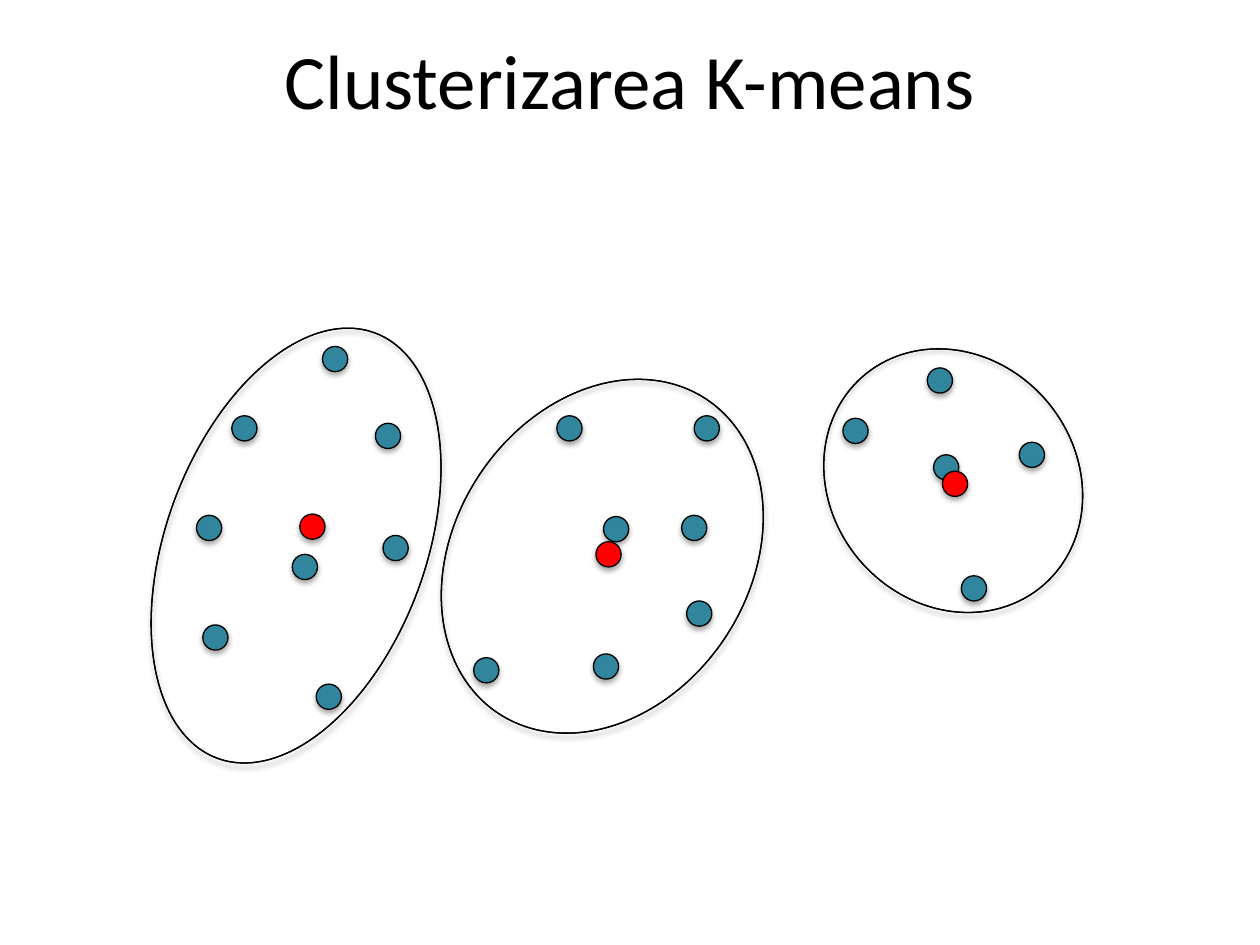
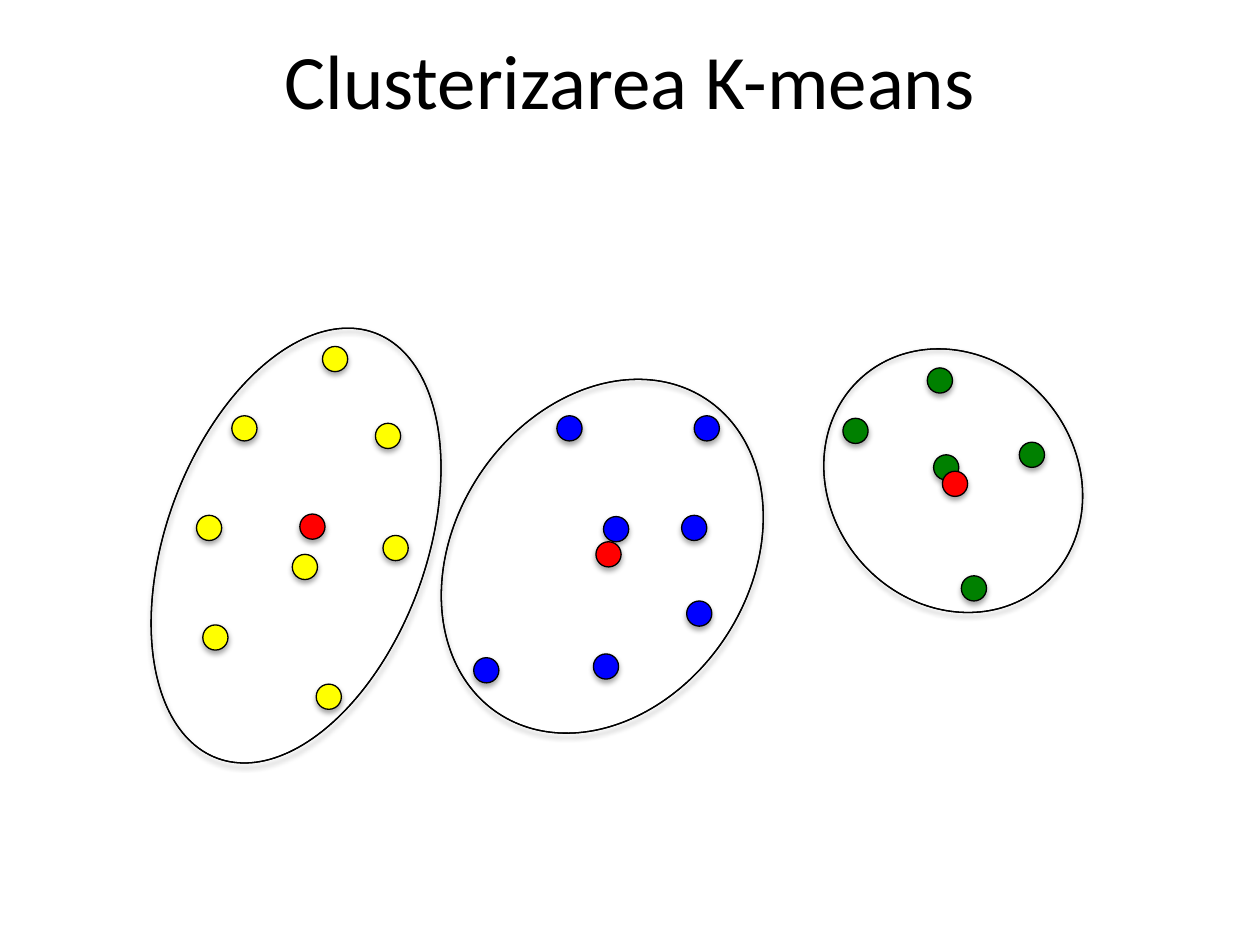
from dataclasses import dataclass

from lxml.etree import SubElement
from pptx import Presentation
from pptx.dml.color import RGBColor
from pptx.enum.shapes import MSO_SHAPE
from pptx.enum.text import MSO_ANCHOR, PP_ALIGN
from pptx.oxml.ns import qn
from pptx.util import Inches, Pt

BLACK = RGBColor(0x00, 0x00, 0x00)
TEAL = RGBColor(0x31, 0x85, 0x9C)
YELLOW = RGBColor(0xFF, 0xFF, 0x00)
BLUE = RGBColor(0x00, 0x00, 0xFF)
GREEN = RGBColor(0x00, 0x80, 0x00)
RED = RGBColor(0xFF, 0x00, 0x00)

COLUMNS, ROWS = 100, 75
DOT_SIZE = 2
TITLE = "Clusterizarea K-means"
TITLE_FONT = {"name": "Calibri", "size": Pt(44)}
TITLE_FRAME = {"vertical_anchor": MSO_ANCHOR.MIDDLE, "word_wrap": True}


@dataclass
class Cluster:
    ring: tuple
    angle: float
    centroid: tuple
    points: list


CLUSTERS = [
    Cluster((13.2, 25.3, 20.6, 36), 20.3, (23.8, 40.8),
            [(18.4, 33), (15.6, 40.9), (29.8, 33.6), (16.1, 49.6),
             (30.4, 42.5), (25.6, 27.5), (25.1, 54.3), (23.2, 44)]),
    Cluster((36.1, 29.2, 23.4, 29.9), 33.5, (47.3, 43),
            [(44.2, 33), (55.1, 33), (47.9, 41), (37.6, 52.2),
             (54.1, 40.9), (47.1, 51.9), (54.5, 47.7)]),
    Cluster((65.9, 27.2, 19.5, 21.9), 319.5, (74.8, 37.4),
            [(73.6, 29.2), (80.9, 35.1), (74.1, 36.1), (66.9, 33.2),
             (76.3, 45.7)]),
]


def apply_format(target, values):
    for name, value in values.items():
        setattr(target, name, value)


class ClusterDeck:
    def __init__(self):
        self.deck = Presentation()
        apply_format(self.deck, {"slide_width": Inches(10),
                                 "slide_height": Inches(7.5)})
        self.page = None

    def place(self, left, top, width, height):
        column = self.deck.slide_width / COLUMNS
        row = self.deck.slide_height / ROWS
        return (round(left * column), round(top * row),
                round(width * column), round(height * row))

    def add_page(self, title):
        self.page = self.deck.slides.add_slide(self.deck.slide_layouts[5])
        box = self.page.shapes.title
        area = self.place(5, 0, 90, 12.5)
        apply_format(box, dict(zip(("left", "top", "width", "height"), area)))
        box.text_frame.text = title
        apply_format(box.text_frame, TITLE_FRAME)
        para = box.text_frame.paragraphs[0]
        para.alignment = PP_ALIGN.CENTER
        apply_format(para.font, TITLE_FONT)
        para.font.color.rgb = BLACK

    def add_shadow(self, shape):
        shape.shadow.inherit = False
        effects = shape.element.spPr.find(qn("a:effectLst"))
        shadow = SubElement(effects, qn("a:outerShdw"), blurRad=str(Pt(3.1)),
                            dist=str(Pt(1.8)), dir="5400000", rotWithShape="0")
        color = SubElement(shadow, qn("a:srgbClr"), val=str(BLACK))
        SubElement(color, qn("a:alpha"), val="35000")

    def add_outlined(self, kind, area, color):
        shape = self.page.shapes.add_shape(kind, *self.place(*area))
        shape.fill.solid()
        shape.fill.fore_color.rgb = color
        shape.line.color.rgb = BLACK
        shape.line.width = Pt(0.75)
        self.add_shadow(shape)
        return shape

    def add_dot(self, position, color):
        self.add_outlined(MSO_SHAPE.OVAL, (*position, DOT_SIZE, DOT_SIZE), color)

    def add_ring(self, area, angle):
        ring = self.add_outlined(MSO_SHAPE.DONUT, area, BLACK)
        ring.adjustments[0] = 0
        ring.rotation = angle

    def add_cluster(self, cluster, color):
        for point in cluster.points:
            self.add_dot(point, color)
        self.add_ring(cluster.ring, cluster.angle)
        self.add_dot(cluster.centroid, RED)


def main():
    builder = ClusterDeck()
    for colors in [(TEAL, TEAL, TEAL), (YELLOW, BLUE, GREEN)]:
        builder.add_page(TITLE)
        for cluster, color in zip(CLUSTERS, colors):
            builder.add_cluster(cluster, color)
    builder.deck.save("out.pptx")


if __name__ == "__main__":
    main()
